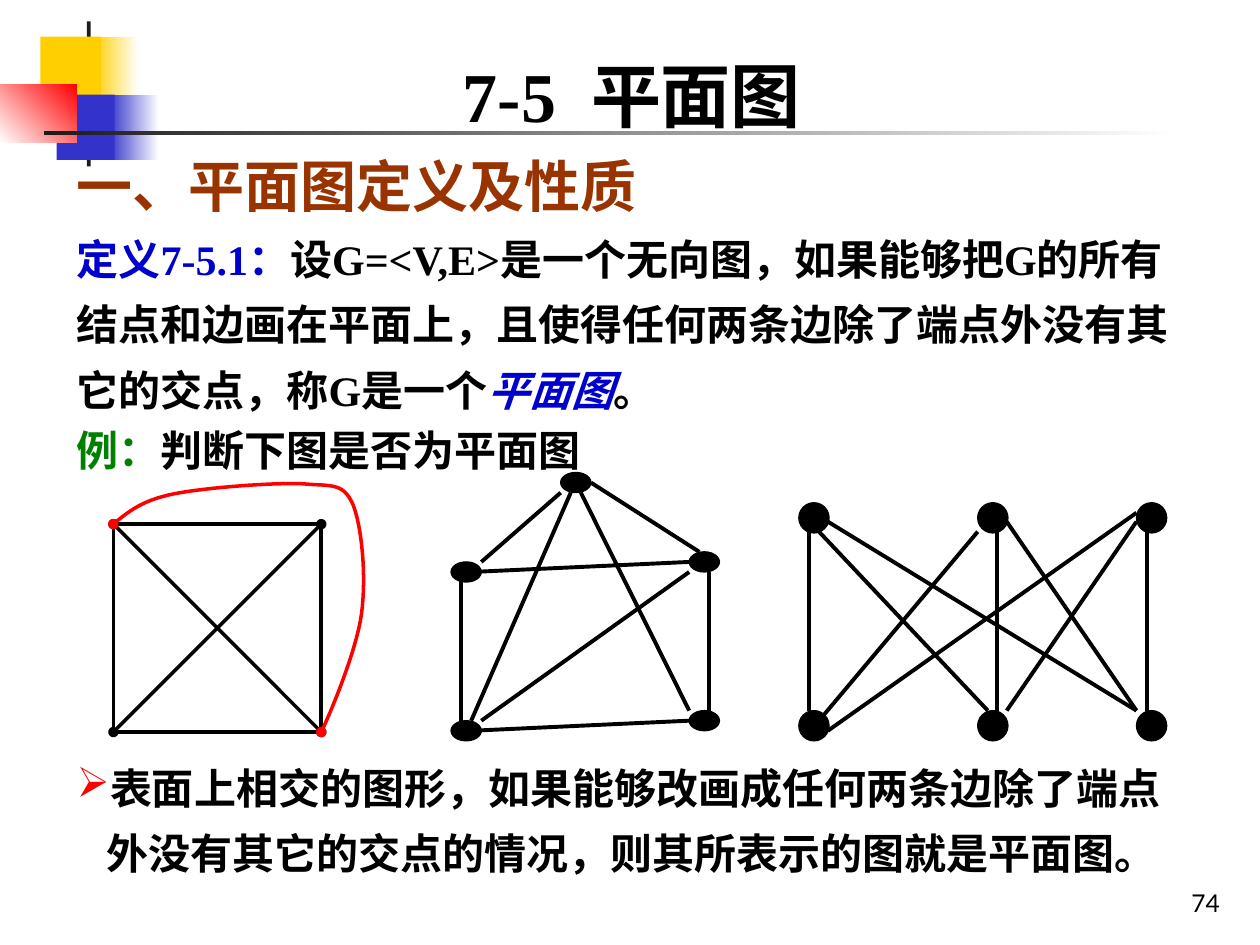
from pptx import Presentation
from pptx.dml.color import RGBColor
from pptx.enum.shapes import MSO_CONNECTOR, MSO_SHAPE
from pptx.enum.text import MSO_ANCHOR, PP_ALIGN
from pptx.oxml.ns import qn
from pptx.util import Pt
from lxml import etree

PX = 9144  # 100 px to the inch
RECT, OVAL = MSO_SHAPE.RECTANGLE, MSO_SHAPE.OVAL
STRAIGHT = MSO_CONNECTOR.STRAIGHT
BLACK = RGBColor(0x00, 0x00, 0x00)
WHITE = RGBColor(0xFF, 0xFF, 0xFF)
RED = RGBColor(0xFF, 0x00, 0x00)
YELLOW = RGBColor(0xFF, 0xCF, 0x01)
INDIGO = RGBColor(0x33, 0x33, 0xCC)
CHARCOAL = RGBColor(0x1C, 0x1C, 0x1C)
BROWN = RGBColor(0x99, 0x33, 0x00)
BLUE = RGBColor(0x00, 0x00, 0xCC)
GREEN = RGBColor(0x00, 0x80, 0x00)
SERIF = "Times New Roman"


def outline(item, color, width, dots=False):
    """Style a line without shadow, optionally with round dots at both ends."""
    item.line.color.rgb = color
    item.line.width = Pt(width)
    properties = item._element.spPr
    if properties.find(qn("a:effectLst")) is None:
        etree.SubElement(properties, qn("a:effectLst"))
    if dots:
        for end in ("a:headEnd", "a:tailEnd"):
            etree.SubElement(properties.find(qn("a:ln")), qn(end), type="oval")


def write(para, spans, size, font=SERIF, bold=True):
    """Fill a paragraph with (text, color, italic) spans."""
    for text, color, italic in spans:
        span = para.add_run()
        span.text = text
        span.font.name = font
        span.font.size = Pt(size)
        span.font.bold = bold
        span.font.italic = italic
        span.font.color.rgb = color


deck = Presentation()
deck.slide_width, deck.slide_height = 1000 * PX, 750 * PX
page = deck.slides.add_slide(deck.slide_layouts[5])
shapes = page.shapes

# Corner ornament and title rule; an end color makes a gradient
ornament = [
    (74, 29, 36, 52, YELLOW, WHITE, 0),
    (86, 75, 40, 52, INDIGO, WHITE, 0),
    (69, 17, 3, 115, CHARCOAL, None, 0),
    (32, 29, 48, 52, YELLOW, None, 0),
    (45, 75, 46, 52, INDIGO, None, 0),
    (0, 67, 61, 46, WHITE, RED, 45),
    (35, 104, 900, 3, CHARCOAL, WHITE, 0),
]
for left, top, width, height, start, end, angle in ornament:
    block = shapes.add_shape(RECT, left * PX, top * PX, width * PX, height * PX)
    block.shadow.inherit = False
    block.line.fill.background()
    if end is None:
        block.fill.solid()
        block.fill.fore_color.rgb = start
    else:
        block.fill.gradient()
        block.fill.gradient_angle = angle
        for stop, color in zip(block.fill.gradient_stops, (start, end)):
            stop.color.rgb = color

title = shapes.title
title.left, title.top, title.width, title.height = 106 * PX, 36 * PX, 791 * PX, 77 * PX
title.text_frame.vertical_anchor = MSO_ANCHOR.BOTTOM
title.text_frame.paragraphs[0].alignment = PP_ALIGN.CENTER
write(title.text_frame.paragraphs[0], [("7-5\u00a0\u00a0平面图", BLACK, False)], 40)

# Body text: top, height, paragraphs of (size, bulleted, spans)
bodies = [
    (99, 235, [
        (32, False, [("一、平面图定义及性质", BROWN, False)]),
        (24, False, [
            ("定义7-5.1：", BLUE, False),
            ("设G=<V,E>是一个无向图，如果能够把G的所有结点和边画在平面上，"
             "且使得任何两条边除了端点外没有其它的交点，称G是一个", BLACK, False),
            ("平面图", BLUE, True),
            ("。", BLACK, False),
        ]),
    ]),
    (320, 62, [
        (24, False, [("例：", GREEN, False), ("判断下图是否为平面图", BLACK, False)]),
    ]),
    (588, 114, [
        (24, True, [("表面上相交的图形，如果能够改画成任何两条边除了端点外没有其它的交点的情况，"
                     "则其所表示的图就是平面图。", BLACK, False)]),
    ]),
]
for top, height, paragraphs in bodies:
    frame = shapes.add_textbox(51 * PX, top * PX, 905 * PX, height * PX).text_frame
    frame.word_wrap = True
    for index, (size, bulleted, spans) in enumerate(paragraphs):
        para = frame.add_paragraph() if index else frame.paragraphs[0]
        para.line_spacing = 1.3
        if bulleted:
            properties = para._p.get_or_add_pPr()
            properties.set("marL", str(24 * PX))
            properties.set("indent", str(-24 * PX))
            bullet_color = etree.SubElement(properties, qn("a:buClr"))
            etree.SubElement(bullet_color, qn("a:srgbClr"), val=str(RED))
            etree.SubElement(properties, qn("a:buChar"), char="➢")
        write(para, spans, size)

box = shapes.add_textbox(770 * PX, 683 * PX, 208 * PX, 50 * PX)
box.text_frame.word_wrap = True
box.text_frame.vertical_anchor = MSO_ANCHOR.BOTTOM
number = box.text_frame.paragraphs[0]
number.alignment = PP_ALIGN.RIGHT
write(number, [("74", BLACK, False)], 14, "Lato", False)

# Left graph: a square with both diagonals
square = shapes.add_shape(RECT, 90 * PX, 416 * PX, 165 * PX, 165 * PX)
square.fill.background()
outline(square, BLACK, 2)

# Nodes of the middle and right graphs: left, top, width, height
nodes = [(x, y, 24, 16) for x, y in
         ((445, 375), (358, 446), (547, 438), (358, 572), (547, 564))]
nodes += [(x, y, 24, 24) for y in (399, 564) for x in (634, 776, 902)]
for left, top, width, height in nodes:
    node = shapes.add_shape(OVAL, left * PX, top * PX, width * PX, height * PX)
    node.fill.solid()
    node.fill.fore_color.rgb = BLACK
    outline(node, BLACK, 0.75)

diagonals = [(90, 581, 255, 416), (90, 416, 255, 581)]
middle_edges = [
    (445, 391, 382, 446), (366, 461, 366, 572), (555, 438, 469, 383),
    (563, 564, 563, 454), (547, 572, 374, 580), (547, 446, 374, 454),
    (547, 454, 382, 572), (453, 391, 374, 572), (461, 391, 547, 564),
]
right_edges = [(x, 422, x, 564) for x in (642, 791, 910)] + [
    (650, 422, 784, 564), (657, 414, 902, 564), (776, 422, 650, 572),
    (902, 564, 799, 414), (799, 564, 902, 414), (657, 580, 902, 407),
]
for edges, width, dots in ((diagonals, 2, True), (middle_edges + right_edges, 2.25, False)):
    for x1, y1, x2, y2 in edges:
        edge = shapes.add_connector(STRAIGHT, x1 * PX, y1 * PX, x2 * PX, y2 * PX)
        outline(edge, BLACK, width, dots)

# Red detour of one diagonal: cubic Bezier pieces sharing their end points
controls = [
    (90, 416), (102, 406), (113, 397), (138, 392), (163, 387), (216, 383), (240, 384),
    (264, 386), (272, 383), (280, 400), (287, 417), (291, 456), (287, 487),
    (283, 517), (261, 569), (255, 581),
]
STEPS = 16
points = []
for first in range(0, len(controls) - 1, 3):
    piece = controls[first:first + 4]
    for step in range(1, STEPS + 1):
        t = step / STEPS
        weights = ((1 - t) ** 3, 3 * t * (1 - t) ** 2, 3 * t ** 2 * (1 - t), t ** 3)
        points.append(tuple(PX * sum(w * p[axis] for w, p in zip(weights, piece))
                            for axis in (0, 1)))
builder = shapes.build_freeform(90 * PX, 416 * PX)
builder.add_line_segments(points, close=False)
detour = builder.convert_to_shape()
detour.fill.background()
outline(detour, RED, 2, True)

deck.save("out.pptx")
